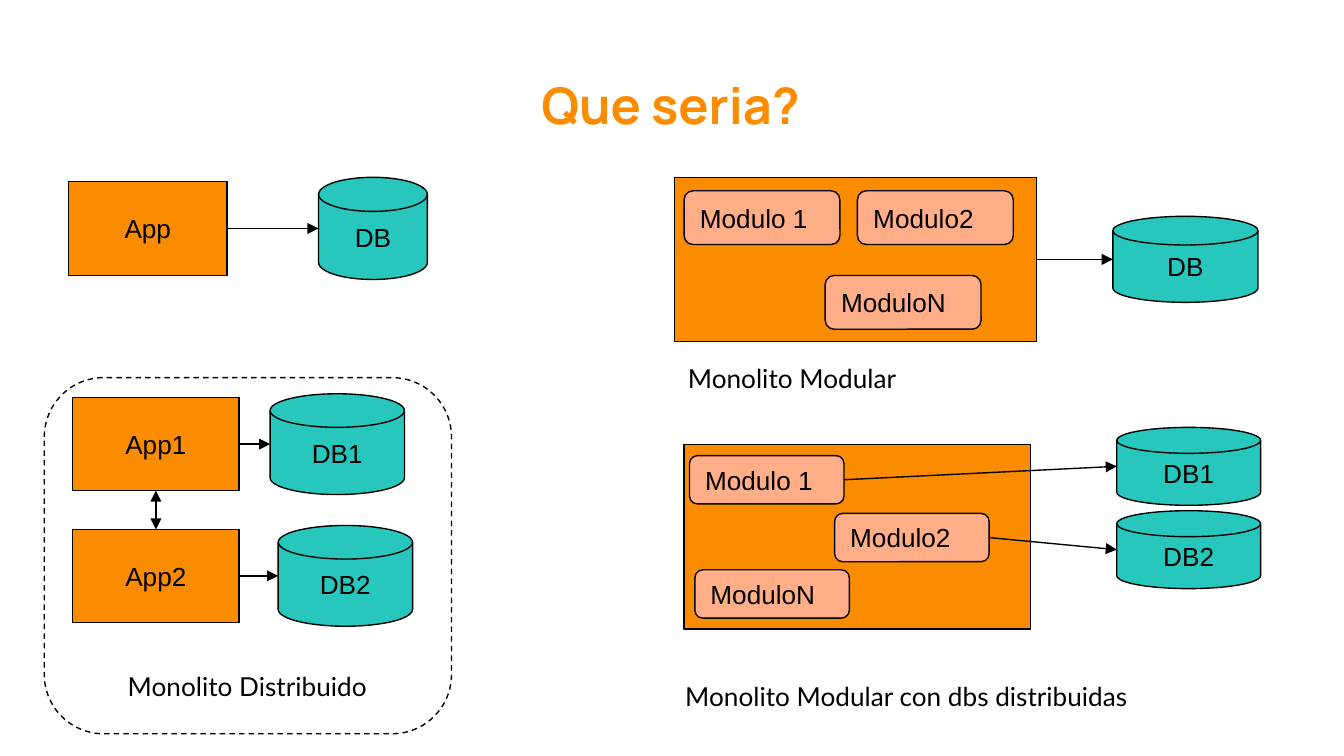
import pptx
import pptx.dml.color
import pptx.enum.dml
import pptx.enum.shapes
import pptx.enum.text
import pptx.oxml
import pptx.oxml.ns
import pptx.util
from pptx.util import Inches

SHAPE = pptx.enum.shapes.MSO_SHAPE
ALIGN = pptx.enum.text.PP_ALIGN
ANCHOR = pptx.enum.text.MSO_ANCHOR
ORANGE, TEAL, PEACH, BLACK = "FB8C00", "27C7BD", "FFAE88", "000000"


def color(value):
    return pptx.dml.color.RGBColor.from_string(value)


def write(sp, text, size=14, font="Arial", fill=BLACK, bold=False,
          align=ALIGN.CENTER, anchor=ANCHOR.MIDDLE):
    tf = sp.text_frame
    tf.word_wrap = True
    tf.vertical_anchor = anchor
    tf.margin_left = tf.margin_right = Inches(0.1)
    tf.margin_top = tf.margin_bottom = Inches(0.1)
    p = tf.paragraphs[0]
    p.alignment = align
    r = p.add_run()
    r.text = text
    r.font.size = pptx.util.Pt(size)
    r.font.name = font
    r.font.bold = bold
    r.font.color.rgb = color(fill)


def node(group, kind, box, fill=None, text="", align=ALIGN.CENTER):
    sp = group.shapes.add_shape(kind, *map(Inches, box))
    sp.shadow.inherit = False
    if fill:
        sp.fill.solid()
        sp.fill.fore_color.rgb = color(fill)
    else:
        sp.fill.background()
    sp.line.color.rgb = color(BLACK)
    sp.line.width = pptx.util.Pt(0.75)
    if text:
        write(sp, text, align=align)
    return sp


def app(group, box, text=""):
    return node(group, SHAPE.RECTANGLE, box, ORANGE, text)


def database(group, box, text):
    return node(group, SHAPE.FLOWCHART_MAGNETIC_DISK, box, TEAL, text)


def module(group, box, text):
    return node(group, SHAPE.FLOWCHART_ALTERNATE_PROCESS, box, PEACH, text, ALIGN.LEFT)


def caption(group, box, text, align=ALIGN.LEFT):
    sp = group.shapes.add_textbox(*map(Inches, box))
    write(sp, text, font="Lato", align=align, anchor=ANCHOR.TOP)


def arrow(group, start, end, ends=("tailEnd",)):
    c = group.shapes.add_connector(pptx.enum.shapes.MSO_CONNECTOR.STRAIGHT, *start, *end)
    c.line.color.rgb = color(BLACK)
    c.line.width = pptx.util.Pt(0.75)
    ln = c.line._get_or_add_ln()
    for tag in ends:
        ln.append(pptx.oxml.parse_xml(
            f'<a:{tag} {pptx.oxml.ns.nsdecls("a")} type="triangle"/>'))
    c._element.spPr.append(pptx.oxml.parse_xml(
        f'<a:effectLst {pptx.oxml.ns.nsdecls("a")}/>'))


def link(group, source, target):
    arrow(group, (source.left + source.width, source.top + source.height // 2),
          (target.left, target.top + target.height // 2))


def add_title(s, x, y, w, h):
    sp = s.shapes.title
    sp.left, sp.top, sp.width, sp.height = map(Inches, (x, y, w, h))
    write(sp, "Que seria?", 27, "Manrope", ORANGE, True, anchor=ANCHOR.TOP)


def add_single_app(s, x, y, w, h):
    group = s.shapes.add_group_shape()
    db = database(group, (x + w - 0.81, y, 0.81, h), "DB")
    link(group, app(group, (x, y + 0.03, 1.18, 0.7), "App"), db)


def add_modular(s, x, y, w, h, size, modules, db_box, dbs, links, label, label_box):
    group = s.shapes.add_group_shape()
    panel = app(group, (x, y, w, h))
    parts = [panel] + [module(group, (x + dx, y + dy, *size), text)
                       for text, dx, dy in modules]
    dx, dy, dw, dh = db_box
    disks = [database(group, (x + dx, y + dy + i * 0.62, dw, dh), text)
             for i, text in enumerate(dbs)]
    for part, disk in links:
        link(group, parts[part], disks[disk])
    dx, dy, dw, dh = label_box
    caption(group, (x + dx, y + dy, dw, dh), label)


def add_distributed(s, x, y, w, h):
    group = s.shapes.add_group_shape()
    apps = []
    for i in range(2):
        top = y + 0.12 + i * 0.98
        db = database(group, (x + 1.68 + i * 0.06, top, 1, 0.75), f"DB{i + 1}")
        apps.append(app(group, (x + 0.21, top + 0.03, 1.24, 0.69), f"App{i + 1}"))
        link(group, apps[-1], db)
    upper, lower = apps
    middle = upper.left + upper.width // 2
    arrow(group, (middle, upper.top + upper.height), (middle, lower.top),
          ("headEnd", "tailEnd"))
    frame = node(group, SHAPE.ROUNDED_RECTANGLE, (x, y, w, h))
    frame.line.dash_style = pptx.enum.dml.MSO_LINE.DASH
    caption(group, (x + 0.12, y + 2.08, 2.78, 0.44), "Monolito Distribuido", ALIGN.CENTER)


def main():
    prs = pptx.Presentation()
    prs.slide_width = Inches(10)
    prs.slide_height = prs.slide_width * 9 // 16
    s = prs.slides.add_slide(prs.slide_layouts[5])
    add_title(s, 0.33, 0.45, 9.32, 0.7)
    add_single_app(s, 0.51, 1.32, 2.67, 0.76)
    add_modular(s, 5.02, 1.32, 2.69, 1.22, (1.16, 0.4),
                [("Modulo 1", 0.07, 0.1), ("Modulo2", 1.36, 0.1), ("ModuloN", 1.12, 0.73)],
                (3.26, 0.29, 1.08, 0.64), ["DB"], [(0, 0)],
                "Monolito Modular", (0, 1.28, 3.64, 0.44))
    add_modular(s, 5.09, 3.31, 2.58, 1.37, (1.15, 0.36),
                [("Modulo 1", 0.04, 0.08), ("Modulo2", 1.12, 0.51), ("ModuloN", 0.08, 0.93)],
                (3.22, -0.13, 1.07, 0.58), ["DB1", "DB2"], [(1, 0), (2, 1)],
                "Monolito Modular con dbs distribuidas", (-0.09, 1.65, 4.1, 0.44))
    add_distributed(s, 0.33, 2.81, 3.03, 2.65)
    prs.save("out.pptx")


if __name__ == "__main__":
    main()
